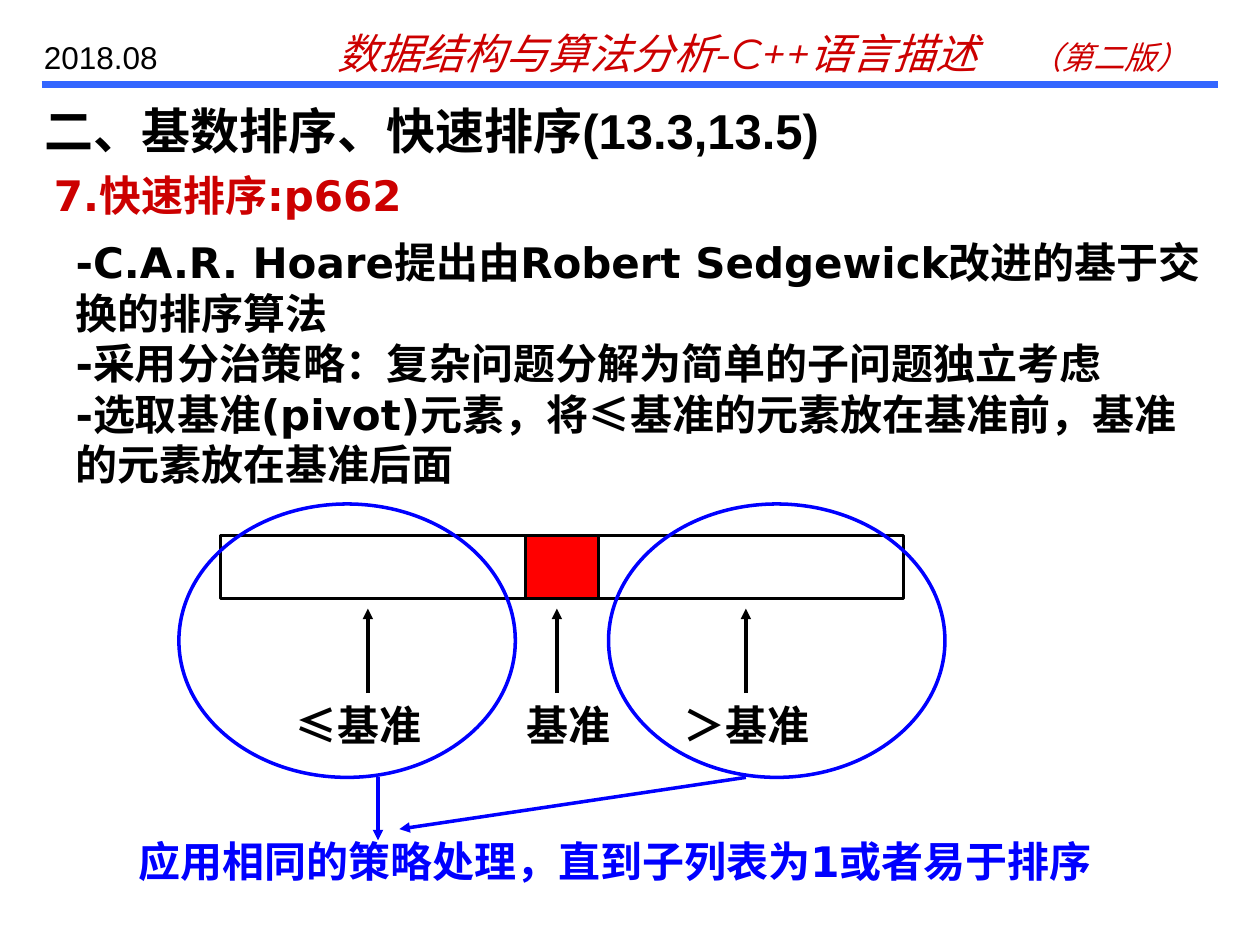
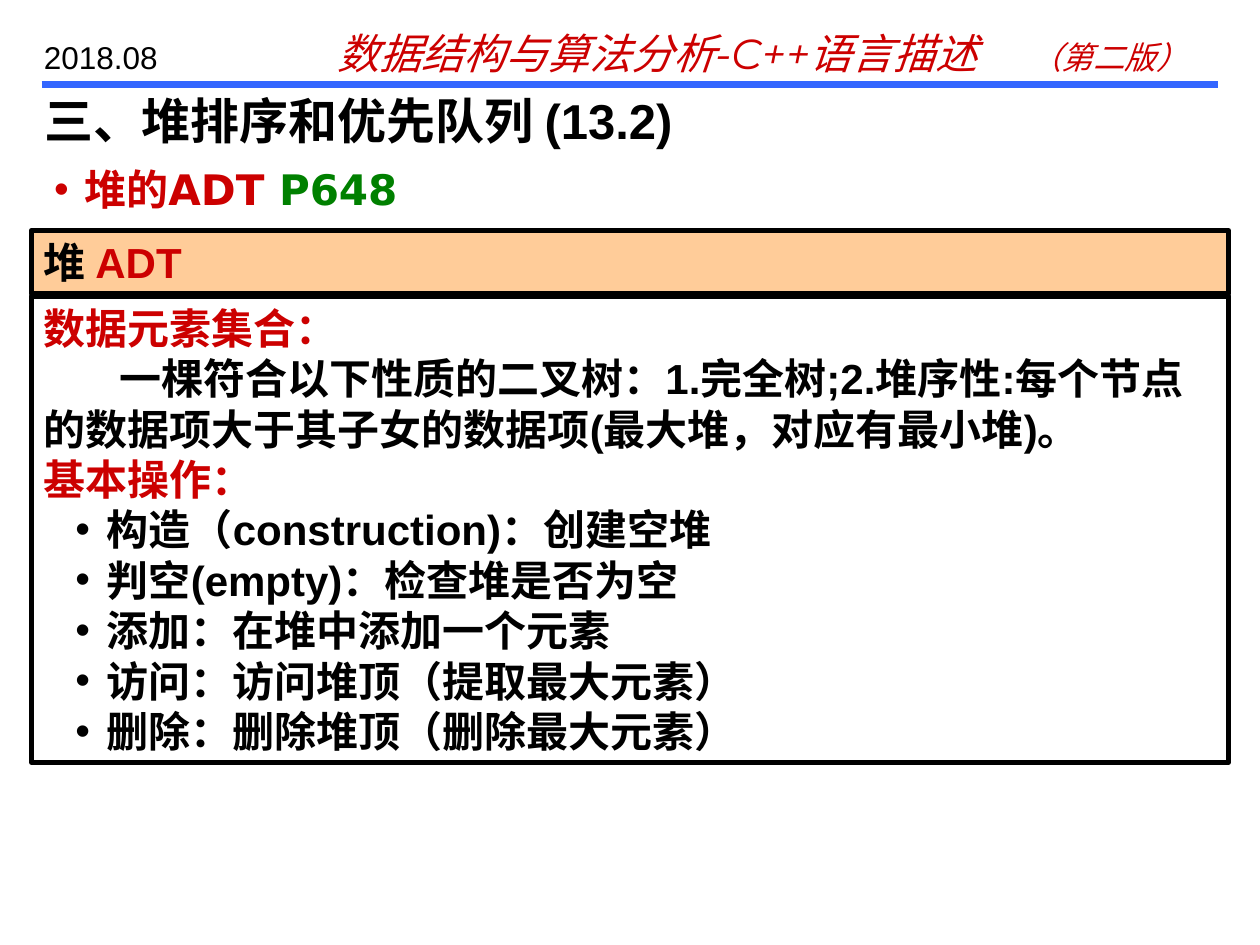
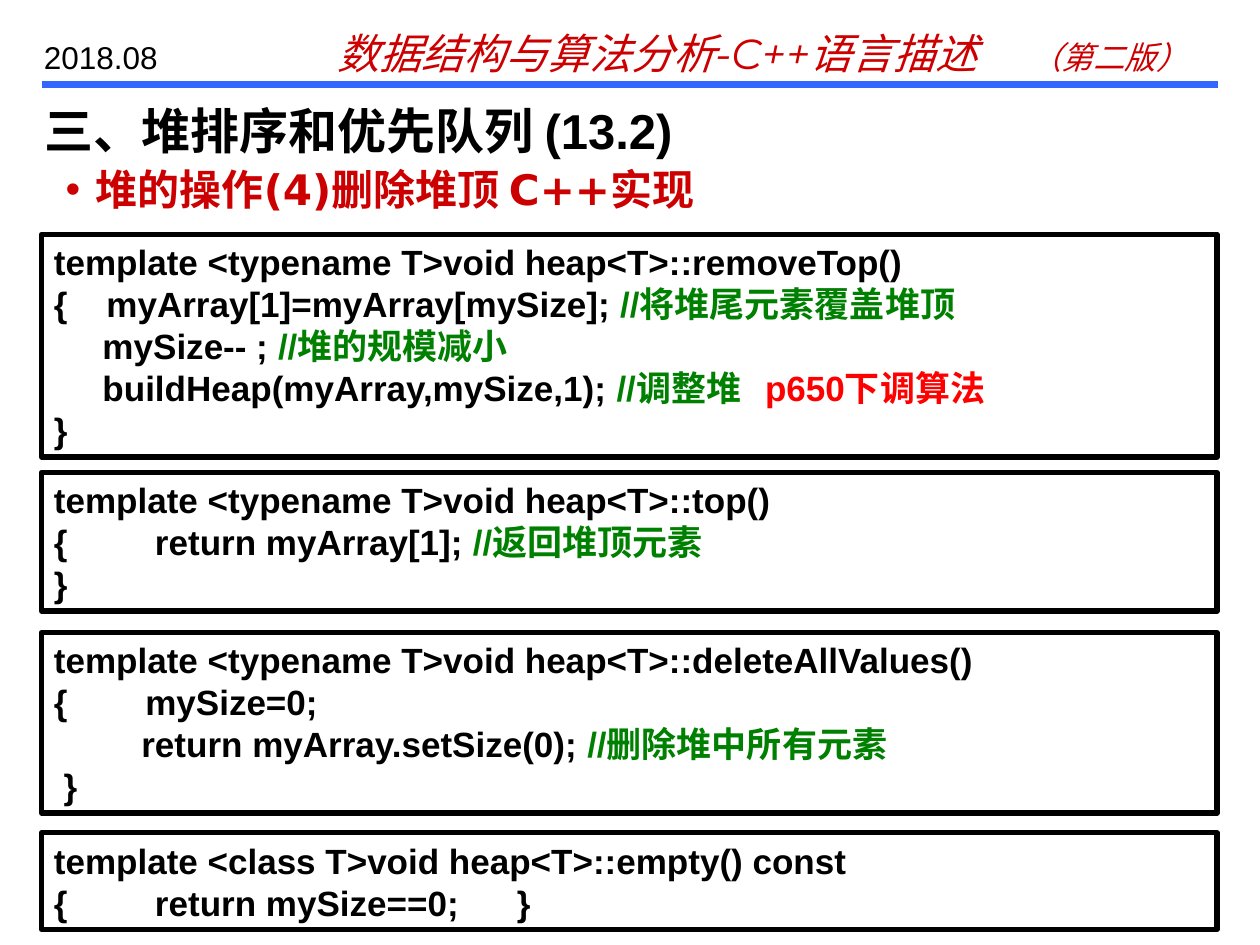
from dataclasses import dataclass

from lxml import etree
from pptx import Presentation
from pptx import util as u
from pptx.dml.color import RGBColor
from pptx.enum import shapes, text
from pptx.oxml.ns import qn

Inches, Pt = u.Inches, u.Pt


@dataclass(frozen=True)
class Theme:
    ink: str = "000000"
    accent: str = "CC0000"
    alert: str = "FF0000"
    note: str = "008000"
    flow: str = "0000FF"
    rule: str = "3366FF"
    band: str = "FFCC99"
    plain_font: str = "Arial"
    lecture_font: str = "DejaVu Sans"
    book_font: str = "Montserrat"
    title_size: int = 28
    text_size: int = 24
    code_size: int = 20
    header_size: int = 18


THEME = Theme()


def rgb(colour):
    return RGBColor.from_string(colour)


def add_child(parent, tag, **attributes):
    return etree.SubElement(parent, qn(tag), **attributes)


class Deck:
    def __init__(self, theme):
        self.theme = theme
        self.prs = Presentation()
        self.prs.slide_width, self.prs.slide_height = Inches(10), Inches(7.5)
        self.slide = None

    def new_slide(self, title, title_top):
        self.slide = self.prs.slides.add_slide(self.prs.slide_layouts[1])
        self.header()
        self.fill_placeholder(0, (0.25, title_top, 9.5, 0.5), [title],
                              size=self.theme.title_size, font=self.theme.plain_font)

    def header(self):
        t = self.theme
        self.line((0.33, 0.67), (9.67, 0.67), t.rule, 4)
        self.label((2.58, 0.17, 7, 0.5),
                   [["数据结构与算法分析-C++语言描述\t", ("（第二版）", t.accent, t.header_size)]],
                   font=t.book_font, colour=t.accent, bold=False, italic=True, tab=5.37)
        self.label((0.25, 0.25, 1.42, 0.4), ["2018.08"],
                   size=t.header_size, font=t.plain_font, bold=False)

    def set_lines(self, frame, lines, **style):
        """Fill a frame; a line is a string or a list of strings and (text, colour[, size])."""
        frame.word_wrap = True
        frame.auto_size = text.MSO_AUTO_SIZE.NONE
        frame.vertical_anchor = text.MSO_ANCHOR.TOP
        for number, line in enumerate(lines):
            paragraph = frame.paragraphs[0] if number == 0 else frame.add_paragraph()
            self.set_line(paragraph, line, **style)

    def set_line(self, paragraph, line, size=None, font=None, colour=None,
                 bold=True, italic=False, bullet=False, margin=0, indent=0, tab=None):
        t = self.theme
        paragraph.alignment = text.PP_ALIGN.LEFT
        paragraph.space_before = Pt(0)
        properties = paragraph._p.get_or_add_pPr()
        properties.set("marL", str(Inches(margin)))
        properties.set("indent", str(Inches(indent)))
        if bullet:
            add_child(properties, "a:buFont", typeface=t.plain_font)
            add_child(properties, "a:buChar", char="•")
        else:
            add_child(properties, "a:buNone")
        if tab:
            stops = add_child(properties, "a:tabLst")
            add_child(stops, "a:tab", pos=str(Inches(tab)), algn="l")
        face = paragraph.font
        face.name, face.size = font or t.lecture_font, Pt(size or t.text_size)
        face.bold, face.italic = bold, italic
        face.color.rgb = rgb(colour or t.ink)
        for part in [line] if isinstance(line, str) else line:
            words, *changes = [part] if isinstance(part, str) else part
            run = paragraph.add_run()
            run.text = words
            if changes:
                run.font.color.rgb = rgb(changes[0])
            if len(changes) > 1:
                run.font.size = Pt(changes[1])

    def fill_placeholder(self, index, box, lines, **style):
        holder = self.slide.placeholders[index]
        holder.left, holder.top, holder.width, holder.height = map(Inches, box)
        self.set_lines(holder.text_frame, lines, **style)

    def body(self, box, lines, **style):
        self.fill_placeholder(1, box, lines, **style)

    def topic(self, left, top, line):
        self.body((left, top, 9.2, 0.5), [line], colour=self.theme.accent,
                  bullet=True, margin=0.24, indent=-0.24)

    def label(self, box, lines, **style):
        frame = self.slide.shapes.add_textbox(*map(Inches, box)).text_frame
        self.set_lines(frame, lines, **style)

    def outline(self, box, kind=shapes.MSO_SHAPE.RECTANGLE, fill=None, colour=None, width=2):
        shape = self.slide.shapes.add_shape(kind, *map(Inches, box))
        shape.shadow.inherit = False
        if fill:
            shape.fill.solid()
            shape.fill.fore_color.rgb = rgb(fill)
        else:
            shape.fill.background()
        shape.line.color.rgb = rgb(colour or self.theme.ink)
        shape.line.width = Pt(width)
        return shape

    def panel(self, box, lines, fill=None, **style):
        frame = self.outline(box, fill=fill, width=3).text_frame
        self.set_lines(frame, lines, font=self.theme.plain_font, **style)
        return frame

    def line(self, start, end, colour, width=2, arrow=False):
        connector = self.slide.shapes.add_connector(
            shapes.MSO_CONNECTOR.STRAIGHT, *map(Inches, (*start, *end)))
        connector.line.color.rgb = rgb(colour)
        connector.line.width = Pt(width)
        properties = connector._element.spPr
        if arrow:
            add_child(properties.find(qn("a:ln")), "a:tailEnd", type="triangle")
        add_child(properties, "a:effectLst")


def quick_sort(deck):
    t = deck.theme
    deck.new_slide("二、基数排序、快速排序(13.3,13.5)", 0.75)
    deck.label((0.33, 1.3, 9.33, 0.5), ["7.快速排序:p662"], colour=t.accent)
    deck.body((0.5, 1.83, 9.17, 2.1), [
        "-C.A.R. Hoare提出由Robert Sedgewick改进的基于交换的排序算法",
        "-采用分治策略：复杂问题分解为简单的子问题独立考虑",
        "-选取基准(pivot)元素，将≤基准的元素放在基准前，基准的元素放在基准后面",
    ])
    partitions = [
        ("基准", 4.17, 0.58, 4.42, 4.08, t.alert),
        ("≤基准", 1.75, 2.42, 2.92, 2.25, None),
        ("＞基准", 4.75, 2.42, 5.92, 5.33, None),
    ]
    for name, left, width, arrow_x, name_left, fill in partitions:
        deck.outline((left, 4.25, width, 0.5), fill=fill)
        deck.line((arrow_x, 5.5), (arrow_x, 4.83), t.ink, arrow=True)
        deck.label((name_left, 5.5, 1.58, 0.5), [name])
    deck.label((1, 6.58, 8, 0.5), ["应用相同的策略处理，直到子列表为1或者易于排序"], colour=t.flow)
    for sublist_left in (1.42, 4.83):
        deck.outline((sublist_left, 4, 2.67, 2.17), shapes.MSO_SHAPE.OVAL, colour=t.flow)
    deck.line((3, 6.17), (3, 6.67), t.flow, arrow=True)
    deck.line((5.92, 6.17), (3.17, 6.58), t.flow, arrow=True)


def heap_adt(deck):
    t = deck.theme
    deck.new_slide("三、堆排序和优先队列 (13.2)", 0.67)
    deck.topic(0.33, 1.25, ["堆的ADT ", ("P648", t.note)])
    deck.panel((0.25, 1.83, 9.5, 0.5), [["堆 ", ("ADT", t.accent)]], fill=t.band)
    definition = deck.panel((0.25, 2.35, 9.5, 3.7), ["数据元素集合："], colour=t.accent)
    plain = {"font": t.plain_font}
    deck.set_line(
        definition.add_paragraph(),
        "一棵符合以下性质的二叉树：1.完全树;2.堆序性:每个节点的数据项大于其子女的数据项(最大堆，对应有最小堆)。",
        indent=0.6, **plain)
    deck.set_line(definition.add_paragraph(), "基本操作：", colour=t.accent, **plain)
    for operation in (
        "构造（construction)：创建空堆",
        "判空(empty)：检查堆是否为空",
        "添加：在堆中添加一个元素",
        "访问：访问堆顶（提取最大元素）",
        "删除：删除堆顶（删除最大元素）",
    ):
        paragraph = definition.add_paragraph()
        paragraph.level = 1
        deck.set_line(paragraph, operation, bullet=True, margin=0.5, indent=-0.25, **plain)


def heap_code(deck):
    t = deck.theme
    deck.new_slide("三、堆排序和优先队列 (13.2)", 0.75)
    deck.topic(0.42, 1.25, "堆的操作(4)删除堆顶 C++实现")
    functions = [
        (1.86, [
            "template <typename T>void heap<T>::removeTop()",
            ["{    myArray[1]=myArray[mySize]; ", ("//将堆尾元素覆盖堆顶", t.note)],
            ["     mySize-- ; ", ("//堆的规模减小", t.note)],
            ["     buildHeap(myArray,mySize,1); ", ("//调整堆   ", t.note),
             ("p650下调算法", t.alert)],
            "}",
        ]),
        (3.75, [
            "template <typename T>void heap<T>::top()",
            ["{         return myArray[1]; ", ("//返回堆顶元素", t.note)],
            "}",
        ]),
        (5.02, [
            "template <typename T>void heap<T>::deleteAllValues()",
            "{        mySize=0;",
            ["         return myArray.setSize(0); ", ("//删除堆中所有元素", t.note)],
            " }",
        ]),
        (6.61, [
            "template <class T>void heap<T>::empty() const",
            "{         return mySize==0;      }",
        ]),
    ]
    for top, code in functions:
        deck.panel((0.33, top, 9.33, 0.1 + len(code) / 3), code, size=t.code_size)


def main():
    deck = Deck(THEME)
    for build in (quick_sort, heap_adt, heap_code):
        build(deck)
    deck.prs.save("out.pptx")


if __name__ == "__main__":
    main()
